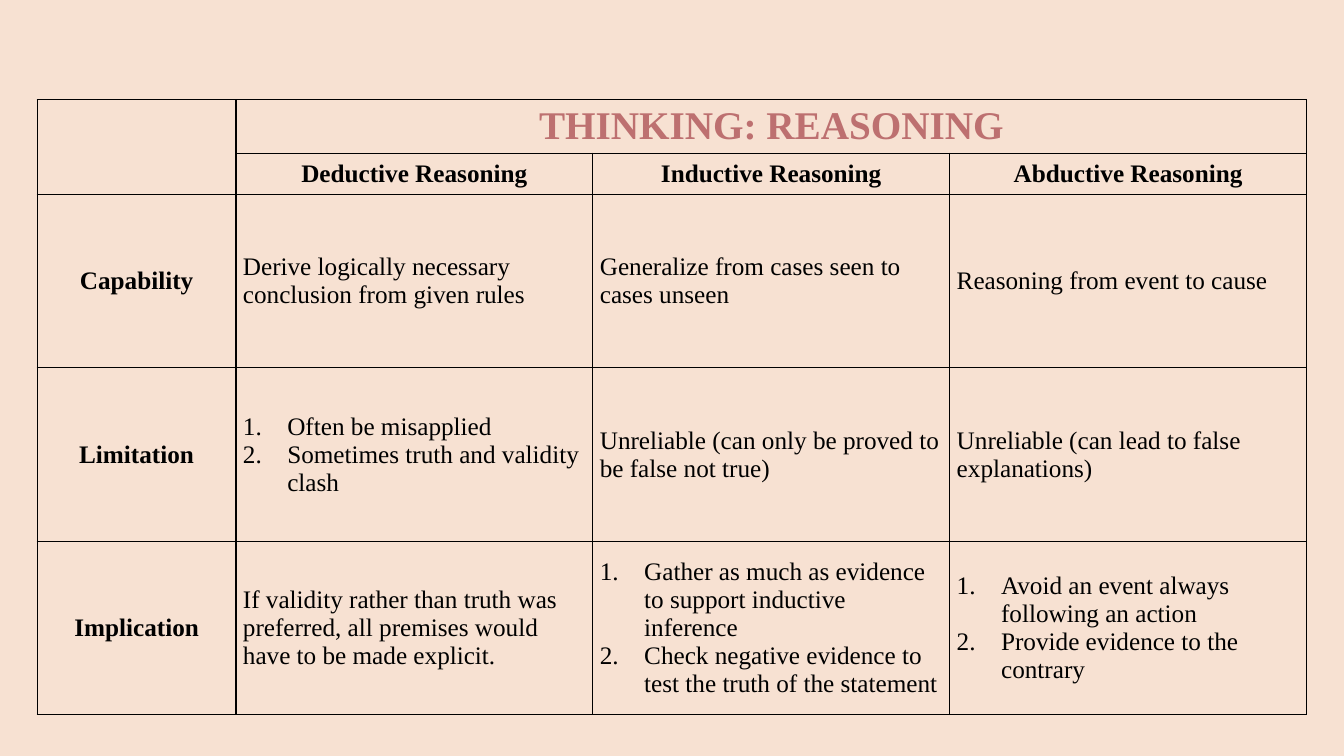
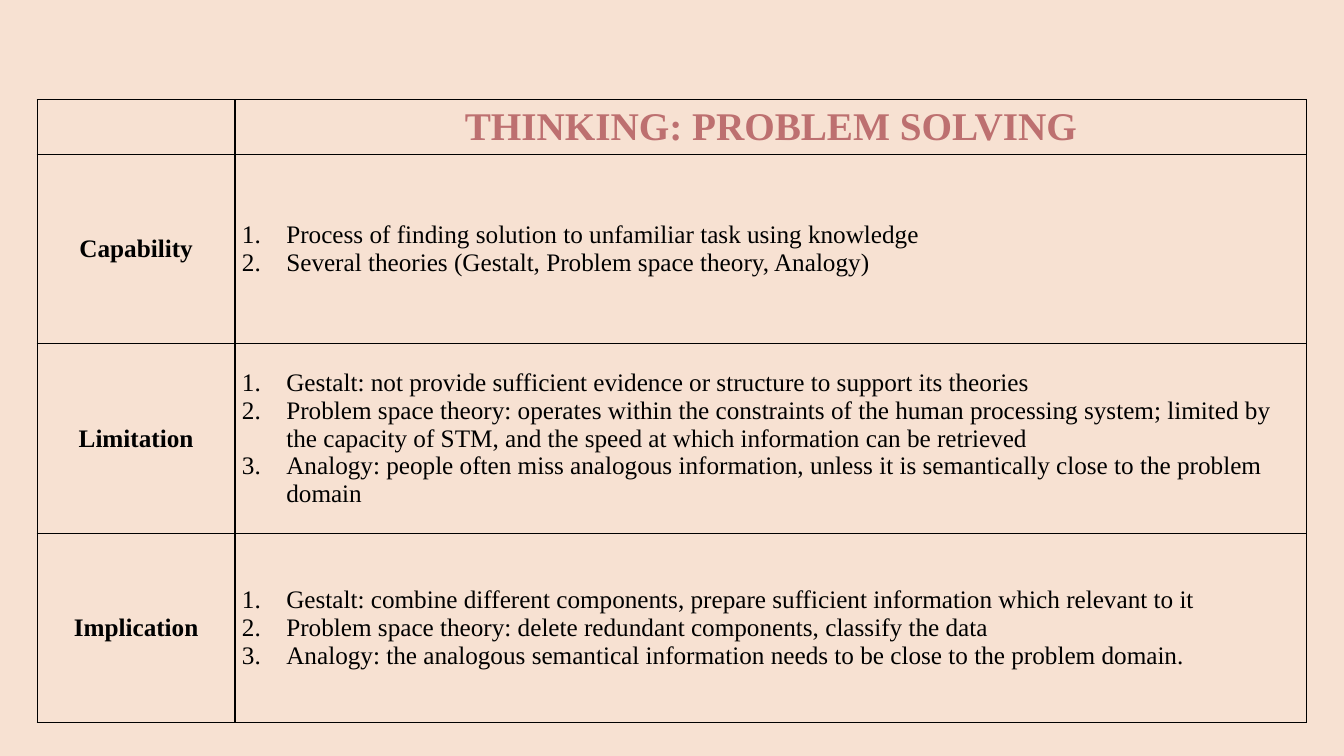
from dataclasses import dataclass

from lxml.etree import SubElement
from pptx import Presentation
from pptx.dml.color import RGBColor
from pptx.enum.text import MSO_ANCHOR as Anchor, PP_ALIGN as Align
from pptx.oxml.ns import qn
from pptx.presentation import Presentation as Deck
from pptx.table import Table, _Cell as Cell
from pptx.util import Inches, Pt

BACKGROUND = RGBColor(0xF7, 0xE1, 0xD2)
ROSE = RGBColor(0xBD, 0x70, 0x70)
BLACK = RGBColor(0x00, 0x00, 0x00)

FONT = "Times New Roman"
TITLE_SIZE = Pt(28)
BODY_SIZE = Pt(18)
BORDER_WIDTH = Pt(1)
TABLE_LEFT, TABLE_TOP = Inches(0.37), Inches(0.99)
SIDE_MARGIN, END_MARGIN = Inches(0.07), Inches(0.04)
LIST_INDENT = Inches(0.44)


@dataclass(frozen=True)
class Numbered:
    """Cell text shown as a numbered list."""
    items: tuple[str, ...]


@dataclass(frozen=True)
class Topic:
    label: str
    contents: tuple[str | Numbered, ...]


@dataclass(frozen=True)
class Overview:
    """One slide: a titled table with a row for each topic."""
    title: str
    subheadings: tuple[str, ...]
    label_width: float
    content_width: float
    header_heights: tuple[float, ...]
    topic_height: float
    topics: tuple[Topic, ...]


OVERVIEWS = (
    Overview(
        "THINKING: REASONING",
        ("Deductive Reasoning", "Inductive Reasoning", "Abductive Reasoning"),
        1.97, 3.54, (0.53, 0.41), 1.72,
        (
            Topic("Capability", (
                "Derive logically necessary conclusion from given rules",
                "Generalize from cases seen to cases unseen",
                "Reasoning from event to cause",
            )),
            Topic("Limitation", (
                Numbered(("Often be misapplied",
                          "Sometimes truth and validity clash")),
                "Unreliable (can only be proved to be false not true)",
                "Unreliable (can lead to false explanations)",
            )),
            Topic("Implication", (
                "If validity rather than truth was preferred, all premises "
                "would have to be made explicit.",
                Numbered(("Gather as much as evidence to support inductive inference",
                          "Check negative evidence to test the truth of the statement")),
                Numbered(("Avoid an event always following an action",
                          "Provide evidence to the contrary")),
            )),
        ),
    ),
    Overview(
        "THINKING: PROBLEM SOLVING", (),
        1.96, 10.63, (0.54,), 1.88,
        (
            Topic("Capability", (Numbered((
                "Process of finding solution to unfamiliar task using knowledge",
                "Several theories (Gestalt, Problem space theory, Analogy)",
            )),)),
            Topic("Limitation", (Numbered((
                "Gestalt: not provide sufficient evidence or structure to "
                "support its theories",
                "Problem space theory: operates within the constraints of the "
                "human processing system; limited by the capacity of STM, and "
                "the speed at which information can be retrieved",
                "Analogy: people often miss analogous information, unless it "
                "is semantically close to the problem domain",
            )),)),
            Topic("Implication", (Numbered((
                "Gestalt: combine different components, prepare sufficient "
                "information which relevant to it",
                "Problem space theory: delete redundant components, classify the data",
                "Analogy: the analogous semantical information needs to be "
                "close to the problem domain.",
            )),)),
        ),
    ),
)


def style_cell(cell: Cell) -> None:
    """Give a cell its margins, black borders and clear fill."""
    cell.margin_left = cell.margin_right = SIDE_MARGIN
    cell.margin_top = cell.margin_bottom = END_MARGIN
    cell.vertical_anchor = Anchor.MIDDLE
    properties = cell._tc.get_or_add_tcPr()
    for side in ("a:lnL", "a:lnR", "a:lnT", "a:lnB"):
        line = SubElement(properties, qn(side), w=str(BORDER_WIDTH))
        fill = SubElement(line, qn("a:solidFill"))
        SubElement(fill, qn("a:srgbClr"), val=str(BLACK))
    cell.fill.background()


def write_cell(cell: Cell, content: str | Numbered, heading: bool = False,
               size: Pt = BODY_SIZE, color: RGBColor = BLACK) -> None:
    numbered = isinstance(content, Numbered)
    lines = content.items if numbered else (content,)
    cell.text = "\n".join(lines)
    for paragraph in cell.text_frame.paragraphs:
        paragraph.alignment = Align.CENTER if heading else Align.LEFT
        font = paragraph.font
        font.name, font.size, font.bold = FONT, size, heading
        font.color.rgb = color
        if numbered:
            properties = paragraph._p.get_or_add_pPr()
            properties.set("marL", str(LIST_INDENT))
            properties.set("indent", str(-LIST_INDENT))
            numbering = properties.makeelement(
                qn("a:buAutoNum"), {"type": "arabicPeriod"})
            properties.insert(0, numbering)


def fill_table(table: Table, overview: Overview) -> None:
    # Title, corner and column headings
    last_column = len(table.columns) - 1
    header_count = len(overview.header_heights)
    if last_column > 1:
        table.cell(0, 1).merge(table.cell(0, last_column))
    if header_count > 1:
        table.cell(0, 0).merge(table.cell(header_count - 1, 0))
    write_cell(table.cell(0, 1), overview.title, True, TITLE_SIZE, ROSE)
    for column, subheading in enumerate(overview.subheadings, start=1):
        write_cell(table.cell(1, column), subheading, heading=True)

    # Topic rows
    for row, topic in enumerate(overview.topics, start=header_count):
        write_cell(table.cell(row, 0), topic.label, heading=True)
        for column, content in enumerate(topic.contents, start=1):
            write_cell(table.cell(row, column), content)


def add_overview(presentation: Deck, overview: Overview) -> None:
    slide = presentation.slides.add_slide(presentation.slide_layouts[6])
    content_count = len(overview.topics[0].contents)
    widths = [overview.label_width] + [overview.content_width] * content_count
    heights = [*overview.header_heights] + [overview.topic_height] * len(overview.topics)
    table = slide.shapes.add_table(
        len(heights), len(widths), TABLE_LEFT, TABLE_TOP,
        Inches(sum(widths)), Inches(sum(heights))).table
    table.first_row = table.horz_banding = False
    for column, width in zip(table.columns, widths):
        column.width = Inches(width)
    for row, height in zip(table.rows, heights):
        row.height = Inches(height)
    for cell in table.iter_cells():
        style_cell(cell)
    fill_table(table, overview)


def main() -> None:
    presentation = Presentation()
    presentation.slide_width = Inches(13.33)
    presentation.slide_height = Inches(7.5)

    # Shared background
    background = presentation.slide_master.background.fill
    background.solid()
    background.fore_color.rgb = BACKGROUND

    for overview in OVERVIEWS:
        add_overview(presentation, overview)
    presentation.save("out.pptx")


if __name__ == "__main__":
    main()
